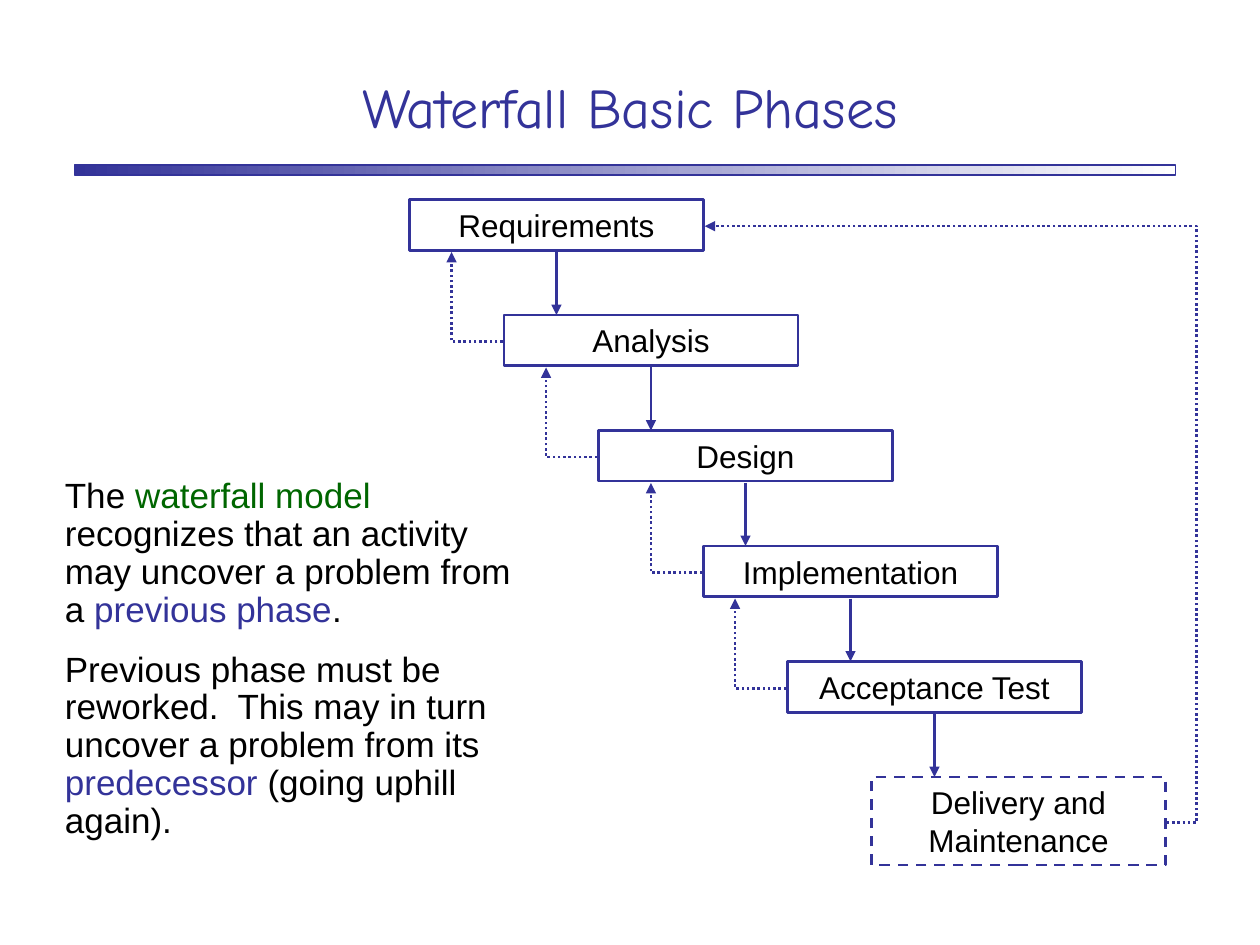
from lxml import etree
from pptx import Presentation
from pptx.dml import color
from pptx.enum import dml, shapes, text
from pptx.oxml import ns
from pptx.util import Pt

BLUE, GREEN, BLACK, WHITE = "333399", "006600", "000000", "FFFFFF"
STEPS = [
    ("Requirements", 234),
    ("Analysis", 288),
    ("Design", 342),
    ("Implementation", 402),
    ("Acceptance Test", 450),
    ("Delivery and Maintenance", 498),
]
NOTES = [
    [("The ", BLACK), ("waterfall model", GREEN),
     (" recognizes that an activity may uncover a problem from a ", BLACK),
     ("previous phase", BLUE), (".", BLACK)],
    [("Previous phase must be reworked.  This may in turn uncover a problem from its ", BLACK),
     ("predecessor", BLUE), (" (going uphill again).", BLACK)],
]
WIDE, HIGH, LAST, RISE = 168, 29, 50.4, 66


def rgb(code):
    return color.RGBColor.from_string(code)


def style(run, size, face, code):
    run.font.size = Pt(size)
    run.font.name = face
    run.font.color.rgb = rgb(code)


def stroke(line, width=1.5, dash=None):
    line.color.rgb = rgb(BLUE)
    line.width = Pt(width)
    if dash:
        line.dash_style = dash


def frame(slide, left, top, width, height):
    area = slide.shapes.add_textbox(Pt(left), Pt(top), Pt(width), Pt(height)).text_frame
    area.word_wrap = True
    return area


def arrow(slide, kind, start, end, dash=None):
    link = slide.shapes.add_connector(kind, *(Pt(n) for n in start + end))
    stroke(link.line, dash=dash)
    props = link._element.spPr
    etree.SubElement(props.find(ns.qn("a:ln")), ns.qn("a:tailEnd"), type="triangle")
    etree.SubElement(props, ns.qn("a:effectLst"))
    return props


def title(slide, left, top, width, height):
    area = frame(slide, left, top, width, height)
    area.vertical_anchor = text.MSO_ANCHOR.BOTTOM
    area.text = "Waterfall Basic Phases"
    para = area.paragraphs[0]
    para.alignment = text.PP_ALIGN.CENTER
    style(para.runs[0], 32, "Comic Neue", BLUE)


def rule(slide, left, top, width, height):
    bar = slide.shapes.add_shape(
        shapes.MSO_SHAPE.RECTANGLE, Pt(left), Pt(top), Pt(width), Pt(height))
    bar.shadow.inherit = False
    bar.fill.gradient()
    bar.fill.gradient_angle = 0
    for stop, code in zip(bar.fill.gradient_stops, (BLUE, WHITE)):
        stop.color.rgb = rgb(code)
    stroke(bar.line, 0.75)


def notes(slide, left, top, width, height):
    area = frame(slide, left, top, width, height)
    for num, parts in enumerate(NOTES):
        para = area.add_paragraph() if num else area.paragraphs[0]
        para.line_spacing = 0.9
        para.space_before = Pt(12.5)
        for words, code in parts:
            run = para.add_run()
            run.text = words
            style(run, 20, "Arial", code)


def phase(slide, name, left, top, height, dash):
    box = slide.shapes.add_shape(
        shapes.MSO_SHAPE.RECTANGLE, Pt(left), Pt(top), Pt(WIDE), Pt(height))
    box.shadow.inherit = False
    box.fill.background()
    stroke(box.line, dash=dash)
    area = box.text_frame
    area.word_wrap = True
    area.vertical_anchor = text.MSO_ANCHOR.MIDDLE
    area.text = name
    para = area.paragraphs[0]
    para.alignment = text.PP_ALIGN.CENTER
    style(para.runs[0], 18, "Arial", BLACK)


def back(slide, left, top, right, low):
    props = arrow(slide, shapes.MSO_CONNECTOR.ELBOW, (left, top), (right, low),
                  dml.MSO_LINE.ROUND_DOT)
    props.find(ns.qn("a:xfrm")).set("rot", "10800000")
    props.find(ns.qn("a:prstGeom")).set("prst", "bentConnector2")


def loop(slide, start, end, bend):
    props = arrow(slide, shapes.MSO_CONNECTOR.ELBOW, start, end, dml.MSO_LINE.ROUND_DOT)
    guides = props.find(ns.qn("a:prstGeom")).find(ns.qn("a:avLst"))
    etree.SubElement(guides, ns.qn("a:gd"), name="adj1", fmla=f"val {bend}")


def cascade(slide, top):
    final = len(STEPS) - 1
    for num, (name, left) in enumerate(STEPS):
        y = top + num * RISE
        ends = num == final
        phase(slide, name, left, y, LAST if ends else HIGH,
              dml.MSO_LINE.DASH if ends else None)
        if ends:
            continue
        mid = left + WIDE / 2
        arrow(slide, shapes.MSO_CONNECTOR.STRAIGHT, (mid, y + HIGH + 1), (mid, y + RISE))
        if num + 1 < final:
            edge = STEPS[num + 1][1]
            back(slide, edge - 30, y + HIGH + 1, edge - 0.75, y + RISE + HIGH / 2 + 0.75)
    first, end = STEPS[0][1] + WIDE, STEPS[-1][1] + WIDE
    loop(slide, (end + 0.75, top + final * RISE + LAST / 2 + 0.75),
         (first + 0.75, top + HIGH / 2 + 0.75), -6500)


def main():
    deck = Presentation()
    deck.slide_width, deck.slide_height = Pt(720), Pt(540)
    slide = deck.slides.add_slide(deck.slide_layouts[6])
    rule(slide, 42.5, 94.25, 629.25, 5.75)
    title(slide, 48, 15, 624, 68.5)
    notes(slide, 30, 270, 276, 240)
    cascade(slide, 114)
    deck.save("out.pptx")


if __name__ == "__main__":
    main()
